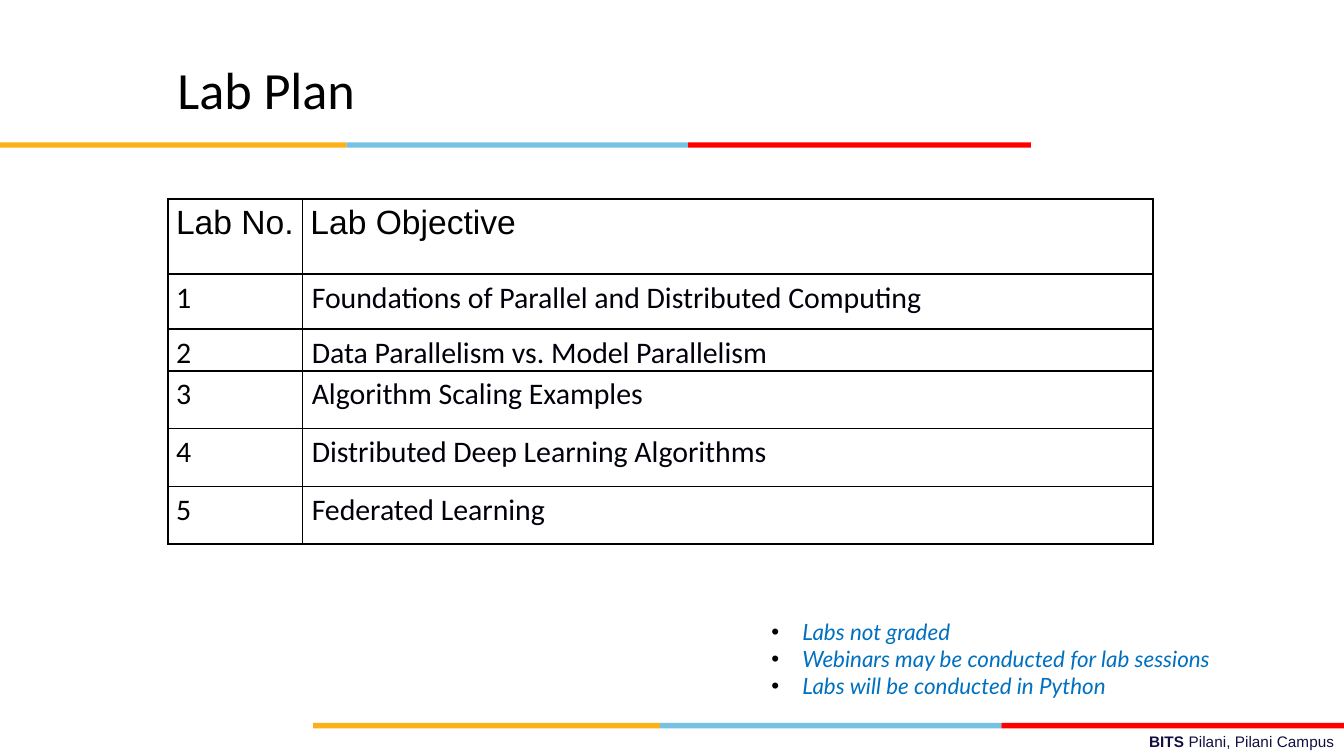
from lxml import etree
from pptx import Presentation
from pptx.dml.color import RGBColor
from pptx.enum.shapes import MSO_SHAPE
from pptx.enum.text import MSO_ANCHOR, PP_ALIGN
from pptx.oxml.ns import qn
from pptx.util import Inches, Pt

RECT = MSO_SHAPE.RECTANGLE
MIDDLE = MSO_ANCHOR.MIDDLE
LEFT, RIGHT = PP_ALIGN.LEFT, PP_ALIGN.RIGHT

WIDTH = 10
HEIGHT = WIDTH * 9 / 16

COLORS = {
    "black": "000000", "ink": "00000A", "navy": "101141", "blue": "0070C0",
    "gold": "FCB017", "sky": "76C2E5", "red": "FF0000",
}
LABS = [
    "Foundations of Parallel and Distributed Computing",
    "Data Parallelism vs. Model Parallelism",
    "Algorithm Scaling Examples",
    "Distributed Deep Learning Algorithms",
    "Federated Learning",
]
NOTES = [
    "Labs not graded",
    "Webinars may be conducted for lab sessions",
    "Labs will be conducted in Python",
]


def rgb(name):
    return RGBColor.from_string(COLORS[name])


def add_text(para, text, font="Calibri", size=16, color="black",
             bold=False, italic=False, align=LEFT, spacing=None):
    run = para.add_run()
    run.text = text
    run.font.name = font
    run.font.size = Pt(size)
    run.font.bold = bold
    run.font.italic = italic
    run.font.color.rgb = rgb(color)
    para.alignment = align
    if spacing:
        para.line_spacing = spacing


def set_frame(frame):
    frame.word_wrap = True
    frame.margin_left = frame.margin_right = Inches(0.07)
    frame.margin_top = frame.margin_bottom = Inches(0.04)


def add_box(slide, left, top, width, height):
    box = slide.shapes.add_textbox(
        Inches(left), Inches(top), Inches(width), Inches(height))
    set_frame(box.text_frame)
    return box.text_frame


def add_bullet(para, indent):
    props = para._p.get_or_add_pPr()
    props.set("marL", str(Inches(indent)))
    props.set("indent", str(-Inches(indent)))
    tint = etree.SubElement(props, qn("a:buClr"))
    etree.SubElement(tint, qn("a:srgbClr"), val=COLORS["black"])
    etree.SubElement(props, qn("a:buFont"), typeface="Arial")
    etree.SubElement(props, qn("a:buChar"), char="•")


def add_border(cell, width):
    props = cell._tc.get_or_add_tcPr()
    for side in ("lnL", "lnR", "lnT", "lnB"):
        line = etree.SubElement(props, qn(f"a:{side}"), w=str(Pt(width)))
        fill = etree.SubElement(line, qn("a:solidFill"))
        etree.SubElement(fill, qn("a:srgbClr"), val=COLORS["black"])


def add_stripe(slide, left, top, height):
    """Draw the three-colour band as one group."""
    group = slide.shapes.add_group_shape()
    for color, width in (("gold", 2.58), ("sky", 2.54), ("red", 2.55)):
        bar = group.shapes.add_shape(
            RECT, Inches(left), Inches(top), Inches(width), Inches(height))
        bar.shadow.inherit = False
        bar.fill.solid()
        bar.fill.fore_color.rgb = rgb(color)
        bar.line.fill.background()
        left += width


def add_title(slide, left, top, width, height):
    title = slide.shapes.title
    title.left, title.top = Inches(left), Inches(top)
    title.width, title.height = Inches(width), Inches(height)
    frame = title.text_frame
    set_frame(frame)
    frame.vertical_anchor = MIDDLE
    add_text(frame.paragraphs[0], "Lab Plan", size=28)


def add_labs(slide, left, top, widths, heights):
    rows = [("Lab No.", "Lab Objective")]
    rows += [(str(num), lab) for num, lab in enumerate(LABS, 1)]
    table = slide.shapes.add_table(
        len(rows), len(widths), Inches(left), Inches(top),
        Inches(sum(widths)), Inches(sum(heights))).table
    table.first_row = table.horz_banding = False
    for col, width in zip(table.columns, widths):
        col.width = Inches(width)
    for r, (row, height) in enumerate(zip(rows, heights)):
        table.rows[r].height = Inches(height)
        for c, text in enumerate(row):
            cell = table.cell(r, c)
            add_border(cell, 1)
            cell.fill.background()
            body = r > 0 and c > 0
            cell.margin_left = cell.margin_right = Inches(0.07 if body else 0.06)
            cell.margin_top = cell.margin_bottom = 0
            add_text(cell.text_frame.paragraphs[0], text, spacing=1.15,
                     font="Calibri" if r else "Arial", size=16 if r else 18,
                     color="ink" if body else "black")


def add_notes(slide, left, top, width, height):
    frame = add_box(slide, left, top, width, height)
    for i, note in enumerate(NOTES):
        para = frame.add_paragraph() if i else frame.paragraphs[0]
        add_bullet(para, 0.23)
        add_text(para, note, font="Lato", size=12, color="blue", italic=True)


def add_footer(slide, left, top, width, height):
    para = add_box(slide, left, top, width, height).paragraphs[0]
    style = {"font": "Arial", "size": 8.25, "color": "navy", "align": RIGHT}
    add_text(para, "BITS ", bold=True, **style)
    add_text(para, "Pilani, Pilani Campus", **style)


def main():
    deck = Presentation()
    deck.slide_width, deck.slide_height = Inches(WIDTH), Inches(HEIGHT)
    slide = deck.slides.add_slide(deck.slide_layouts[5])
    add_footer(slide, 3.58, 5.41, 6.42, 0.21)
    add_stripe(slide, 2.33, 5.38, 0.04)
    add_stripe(slide, 0, 1.06, 0.04)
    add_title(slide, 1.25, 0.31, 5.02, 0.7)
    add_labs(slide, 1.25, 1.48, (1, 6.33), (0.56, 0.41, 0.31, 0.43, 0.43, 0.43))
    add_notes(slide, 5.67, 4.56, 3.67, 0.68)
    deck.save("out.pptx")


if __name__ == "__main__":
    main()
